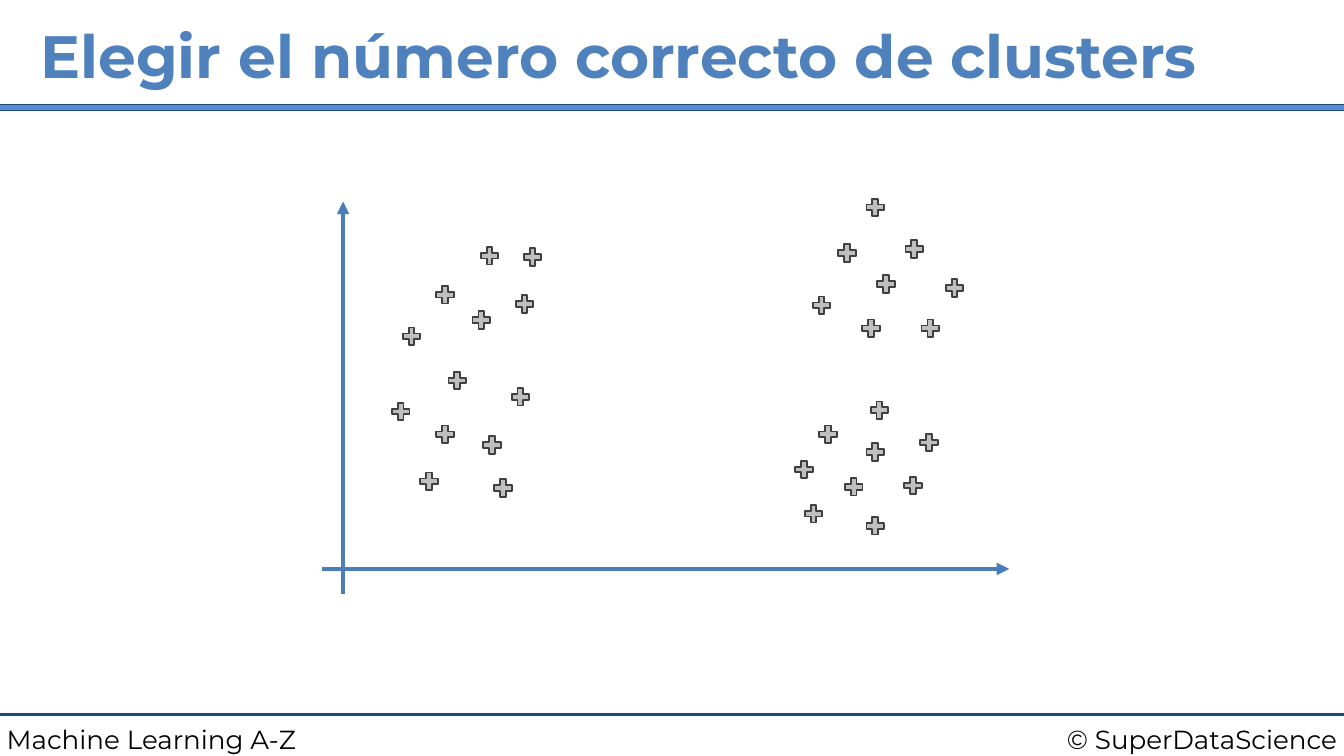
from lxml import etree
from pptx import Presentation
from pptx.dml.color import RGBColor
from pptx.enum.shapes import MSO_CONNECTOR, MSO_SHAPE
from pptx.enum.text import MSO_ANCHOR, PP_ALIGN
from pptx.oxml.ns import qn
from pptx.util import Pt

STRAIGHT = MSO_CONNECTOR.STRAIGHT
RECTANGLE = MSO_SHAPE.RECTANGLE
CROSS = MSO_SHAPE.CROSS
LEFT, RIGHT = PP_ALIGN.LEFT, PP_ALIGN.RIGHT
TOP, MIDDLE = MSO_ANCHOR.TOP, MSO_ANCHOR.MIDDLE

FONT = "Montserrat"
WIDTH, HEIGHT = 720, 405
FOOTER_TOP, FOOTER_HEIGHT = 383.8, 24.5
CROSS_SIZE = 9.4
CROSS_ARM = 0.34
COLORS = {
    "title": "4F81BD",
    "text": "000000",
    "navy": "1F497D",
    "band": "558ED5",
    "axis": "4A7EBB",
    "point": "BFBFBF",
    "point_line": "404040",
}
CLUSTERS = {
    "left": [
        (214.7, 220.5), (278.8, 212.6), (238.5, 232.7), (269.5, 261.5),
        (229.9, 257.9), (245, 203.9), (263.7, 238.5), (220.5, 180.2),
        (257.9, 171.5), (238.5, 157.9), (281, 162.9), (285.3, 137.7),
        (262.3, 137),
    ],
    "upper right": [
        (468.9, 111.1), (489.8, 133.4), (453.8, 135.5), (474.7, 152.1),
        (511.4, 154.3), (466.7, 175.9), (498.4, 175.9), (440.1, 163.6),
    ],
    "lower right": [
        (430.7, 251.5), (443.7, 232.7), (457.4, 260.8), (435.8, 275.2),
        (468.9, 281.7), (489.1, 260.1), (468.9, 242.1), (497.7, 237.1),
        (471.1, 219.8),
    ],
}


def color(name):
    return RGBColor.from_string(COLORS[name])


def add_text(slide, text, left, top, width, height, *, size, fill="text",
             bold=False, align=LEFT, anchor=TOP):
    box = slide.shapes.add_textbox(Pt(left), Pt(top), Pt(width), Pt(height))
    frame = box.text_frame
    frame.word_wrap = True
    frame.vertical_anchor = anchor
    frame.margin_left = frame.margin_right = Pt(3.6)
    frame.margin_top = frame.margin_bottom = Pt(3.6)
    paragraph = frame.paragraphs[0]
    paragraph.alignment = align
    run = paragraph.add_run()
    run.text = text
    run.font.name = FONT
    run.font.size = Pt(size)
    run.font.bold = bold
    run.font.color.rgb = color(fill)


def add_shape(slide, kind, left, top, width, height, fill, line, line_width):
    shape = slide.shapes.add_shape(kind, Pt(left), Pt(top), Pt(width), Pt(height))
    shape.shadow.inherit = False
    shape.fill.solid()
    shape.fill.fore_color.rgb = color(fill)
    shape.line.color.rgb = color(line)
    shape.line.width = Pt(line_width)
    return shape


def add_line(slide, start, end, line, line_width, arrow=False):
    points = [Pt(value) for value in (*start, *end)]
    connector = slide.shapes.add_connector(STRAIGHT, *points)
    connector.line.color.rgb = color(line)
    connector.line.width = Pt(line_width)
    if arrow:
        outline = connector.line._get_or_add_ln()
        etree.SubElement(outline, qn("a:tailEnd"), type="triangle")
    etree.SubElement(connector._element.spPr, qn("a:effectLst"))


def add_point(slide, center_x, center_y):
    half = CROSS_SIZE / 2
    point = add_shape(slide, CROSS, center_x - half, center_y - half,
                      CROSS_SIZE, CROSS_SIZE, "point", "point_line", 1)
    point.adjustments[0] = CROSS_ARM


def add_frame(slide):
    add_line(slide, (0, 383), (WIDTH, 383), "navy", 1.5)
    add_text(slide, "© SuperDataScience", 510, FOOTER_TOP, 210, FOOTER_HEIGHT,
             size=14, align=RIGHT)
    add_text(slide, "Machine Learning A-Z", 0, FOOTER_TOP, 234, FOOTER_HEIGHT,
             size=14)
    add_shape(slide, RECTANGLE, -3, 56, WIDTH + 6, 3.2, "band", "navy", 0.75)
    add_text(slide, "Elegir el número correcto de clusters", 18, 0, 684, 58.3,
             size=32, fill="title", bold=True, anchor=MIDDLE)


def add_scatter(slide):
    add_line(slide, (183.8, 318.2), (183.8, 108), "axis", 2.25, arrow=True)
    add_line(slide, (172.4, 304.8), (540.7, 304.8), "axis", 2.25, arrow=True)
    for cluster in CLUSTERS.values():
        for center in cluster:
            add_point(slide, *center)


def main():
    presentation = Presentation()
    presentation.slide_width = Pt(WIDTH)
    presentation.slide_height = Pt(HEIGHT)
    slide = presentation.slides.add_slide(presentation.slide_layouts[6])
    add_frame(slide)
    add_scatter(slide)
    presentation.save("out.pptx")


if __name__ == "__main__":
    main()
